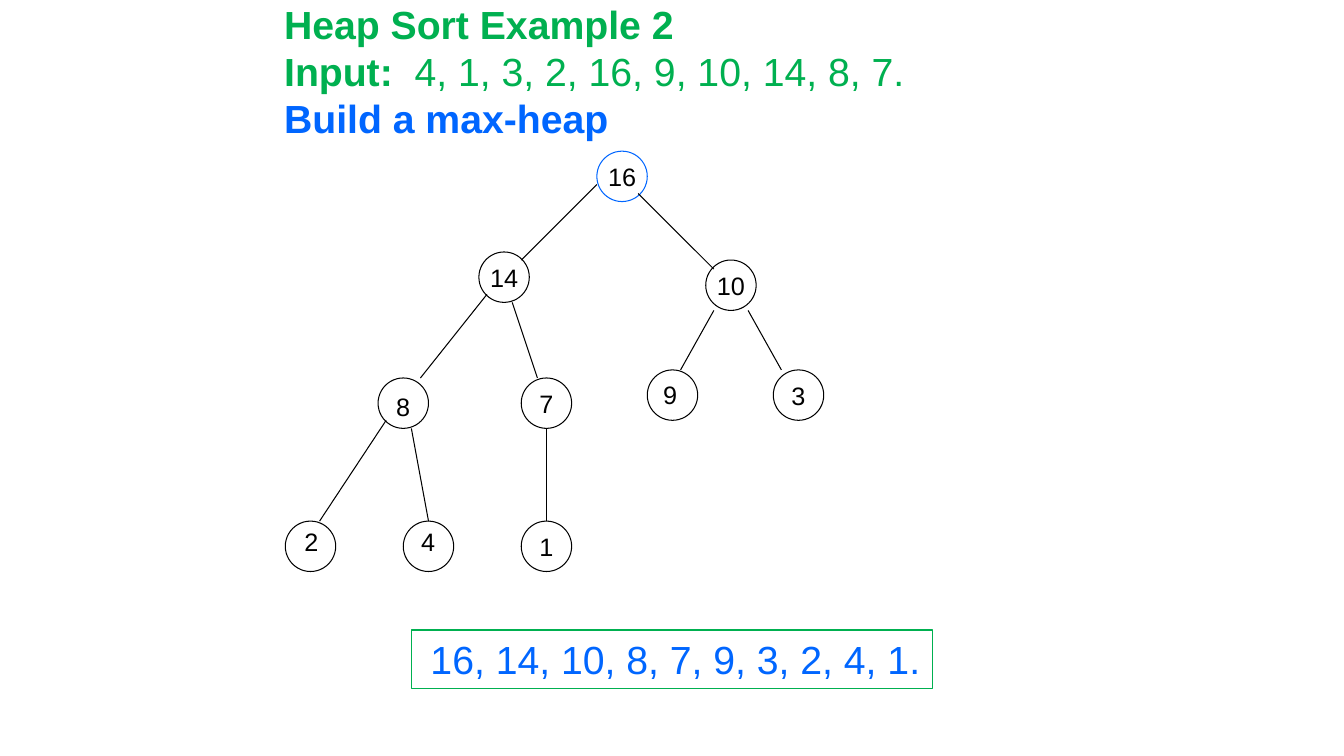
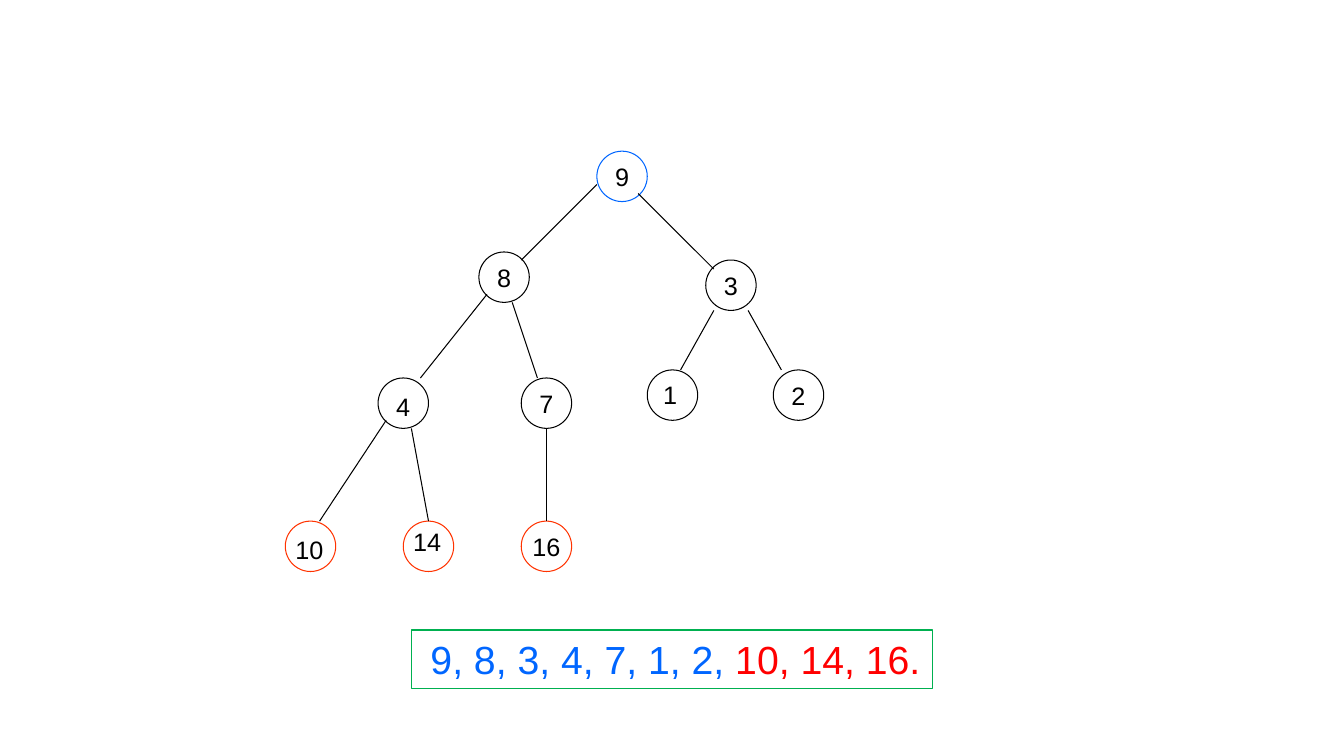
"""Build two slides that show a heap before and during a heap sort."""
import pptx
import pptx.util
import pptx.dml.color
import pptx.enum.shapes
import pptx.enum.text
import pptx.oxml

Inches = pptx.util.Inches
Pt = pptx.util.Pt
SHAPE = pptx.enum.shapes.MSO_SHAPE
ANCHOR = pptx.enum.text.MSO_ANCHOR
ALIGN = pptx.enum.text.PP_ALIGN

BLACK, BLUE, GREEN = "000000", "0066FF", "00B050"
ORANGE, RED = "FF3300", "FF0000"
SIZE = 0.5
NODES = [(5.92, 1.5), (4.75, 2.5), (7, 2.58), (3.75, 3.75), (5.17, 3.75),
         (6.42, 3.67), (7.67, 3.67), (2.83, 5.17), (4, 5.17), (5.17, 5.17)]
EDGES = [(5.92, 1.83, 5.17, 2.58), (6.33, 1.92, 7.08, 2.67),
         (4.83, 2.92, 4.17, 3.75), (5.08, 3, 5.33, 3.75),
         (7.08, 3.08, 6.75, 3.67), (7.42, 3.08, 7.75, 3.67),
         (3.83, 4.17, 3.17, 5.17), (4.08, 4.25, 4.25, 5.17),
         (5.42, 4.25, 5.42, 5.17)]
LABELS = {3: (3.83, 3.83), 5: (6.48, 3.71)}
TITLE = [[("Heap Sort Example 2", GREEN, True)],
         [("Input:  ", GREEN, True),
          ("4, 1, 3, 2, 16, 9, 10, 14, 8, 7.", GREEN, False)],
         [("Build a max-heap", BLUE, True)]]
SLIDES = [
    {"title": TITLE, "heap": [16, 14, 10, 8, 7, 9, 3, 2, 4, 1], "done": 0,
     "labels": {7: (2.92, 5.17), 8: (4.08, 5.17)}},
    {"title": None, "heap": [9, 8, 3, 4, 7, 1, 2, 10, 14, 16], "done": 3,
     "labels": {7: (2.83, 5.25), 8: (4, 5.17)}},
]


def hue(code):
    return pptx.dml.color.RGBColor.from_string(code)


def write(frame, lines, size, align=ALIGN.LEFT, anchor=ANCHOR.TOP):
    frame.word_wrap = False
    frame.vertical_anchor = anchor
    for i, line in enumerate(lines):
        para = frame.add_paragraph() if i else frame.paragraphs[0]
        para.alignment = align
        para.line_spacing = Pt(size * 1.2)
        for text, code, bold in line:
            run = para.add_run()
            run.text = text
            run.font.name = "Arial"
            run.font.size = Pt(size)
            run.font.bold = bold
            run.font.color.rgb = hue(code)


deck = pptx.Presentation()
deck.slide_width = Inches(13.33)
deck.slide_height = Inches(7.5)

for page in SLIDES:
    shapes = deck.slides.add_slide(deck.slide_layouts[6]).shapes
    heap = page["heap"]
    live = len(heap) - page["done"]
    labels = LABELS | page["labels"]

    for i, (left, top) in enumerate(NODES):
        node = shapes.add_shape(SHAPE.OVAL, Inches(left), Inches(top),
                                Inches(SIZE), Inches(SIZE))
        node.shadow.inherit = False
        node.fill.background()
        edge = BLUE if i == 0 else BLACK if i < live else ORANGE
        node.line.color.rgb = hue(edge)
        node.line.width = Pt(0.75)
        text = str(heap[i])
        lines = [[(text, BLACK, False)]]
        if i in labels:
            x, y = labels[i]
            wide = 0.34 if len(text) == 1 else 0.48
            box = shapes.add_textbox(Inches(x), Inches(y), Inches(wide), Inches(0.4))
            write(box.text_frame, lines, 18)
        else:
            write(node.text_frame, lines, 18, ALIGN.CENTER, ANCHOR.MIDDLE)

    for ends in EDGES:
        link = shapes.add_connector(pptx.enum.shapes.MSO_CONNECTOR.STRAIGHT,
                                    *[Inches(end) for end in ends])
        link.line.color.rgb = hue(BLACK)
        link.line.width = Pt(0.75)
        link._element.spPr.append(pptx.oxml.parse_xml(
            '<a:effectLst xmlns:a="http://schemas.openxmlformats.org/drawingml/2006/main"/>'))

    if page["title"]:
        box = shapes.add_textbox(Inches(2.72), Inches(-0.05), Inches(6.53), Inches(1.51))
        write(box.text_frame, page["title"], 28)

    band = shapes.add_shape(SHAPE.RECTANGLE, Inches(4.08), Inches(6.25),
                            Inches(5.17), Inches(0.58))
    band.shadow.inherit = False
    band.fill.background()
    band.line.color.rgb = hue(GREEN)
    band.line.width = Pt(1)
    band.text_frame.margin_left = Inches(0.19)
    band.text_frame.margin_right = Inches(0.06)
    first = ", ".join(map(str, heap[:live]))
    last = ", ".join(map(str, heap[live:]))
    parts = [(first + (", " if last else "."), BLUE, False)]
    if last:
        parts.append((last + ".", RED, False))
    write(band.text_frame, [parts], 28)

deck.save("out.pptx")
